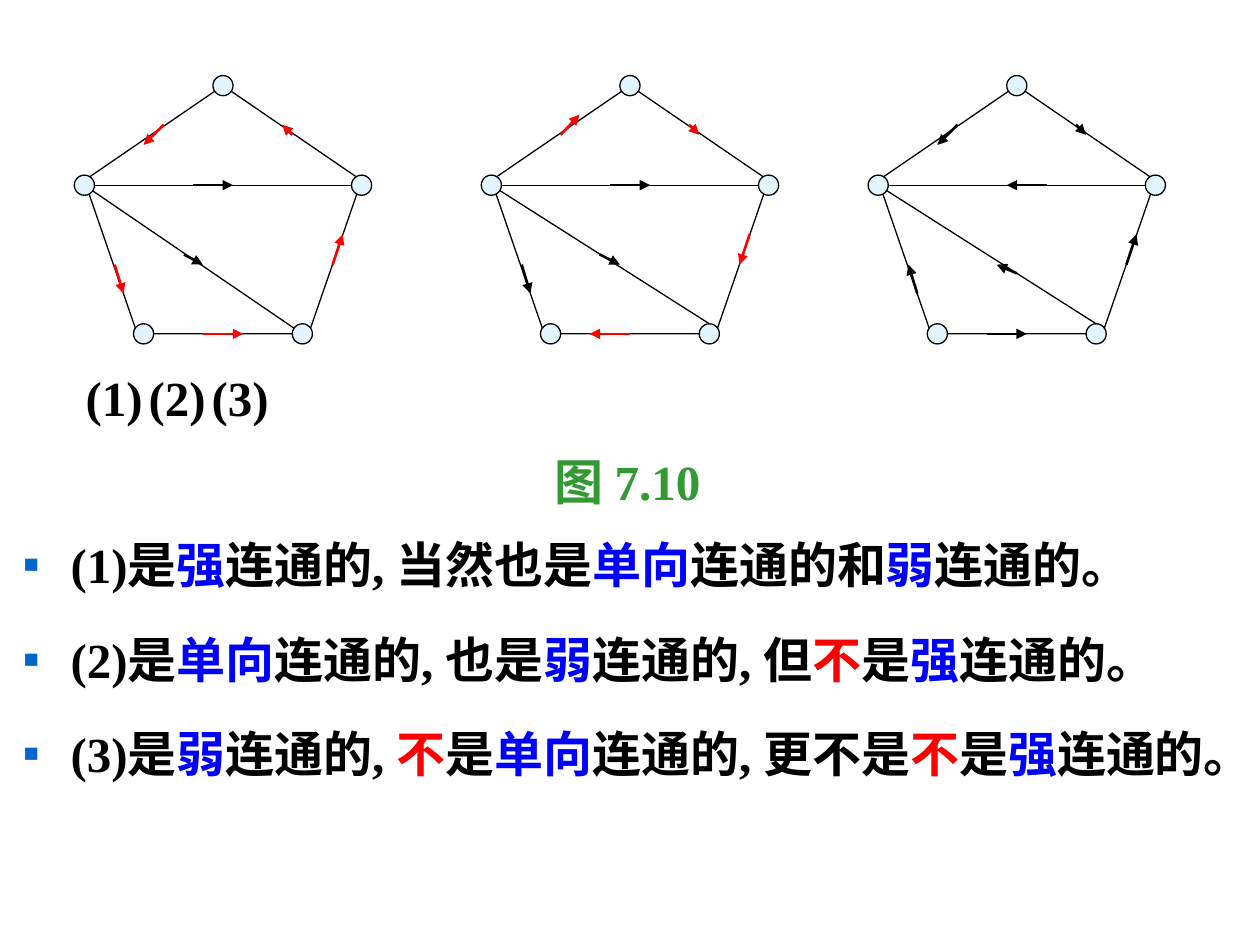
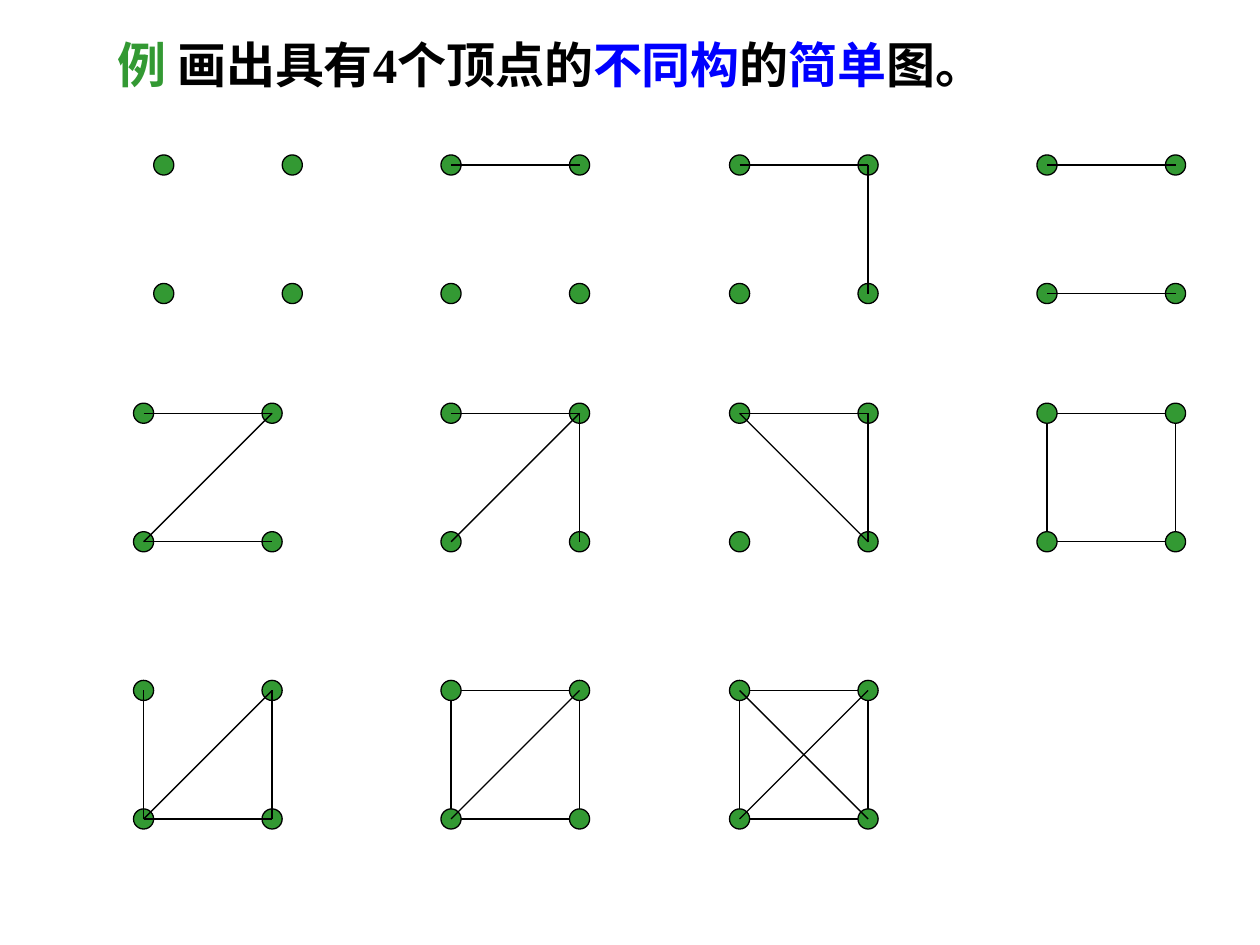
from dataclasses import dataclass

import pptx
import pptx.dml.color
import pptx.enum.shapes
import pptx.enum.text
import pptx.oxml.xmlchemy
import pptx.util
from pptx.util import Inches, Pt

MSO = pptx.enum.shapes.MSO_SHAPE
ALIGN = pptx.enum.text.PP_ALIGN


@dataclass(frozen=True)
class Theme:
    font: str = "Times New Roman"
    size: int = 28
    label_gap_size: int = 32
    space_before: int = 7
    black: str = "000000"
    green: str = "339933"
    blue: str = "0000FF"
    red: str = "FF0000"
    bullet: str = "0066CC"
    pale: str = "E1F4FF"
    edge: float = 0.75
    arrow: float = 1.5
    node: float = 0.16


T = Theme()
K, G, B, R = T.black, T.green, T.blue, T.red


def rgb(value):
    return pptx.dml.color.RGBColor.from_string(value)


def add_xml(parent, tag, **attrs):
    el = pptx.oxml.xmlchemy.OxmlElement(tag)
    for name, value in attrs.items():
        el.set(name, str(value))
    parent.append(el)
    return el


def add_outline(slide, kind, x, y, w, h, fill=None):
    sp = slide.shapes.add_shape(kind, Inches(x), Inches(y), Inches(w), Inches(h))
    sp.shadow.inherit = False
    if fill:
        sp.fill.solid()
        sp.fill.fore_color.rgb = rgb(fill)
    else:
        sp.fill.background()
    sp.line.color.rgb = rgb(K)
    sp.line.width = Pt(T.edge)


def add_node(slide, x, y, fill):
    add_outline(slide, MSO.OVAL, x - T.node / 2, y - T.node / 2, T.node, T.node, fill)


def add_line(slide, x1, y1, x2, y2, color=K, arrow=False):
    cn = slide.shapes.add_connector(pptx.enum.shapes.MSO_CONNECTOR.STRAIGHT,
                                    Inches(x1), Inches(y1), Inches(x2), Inches(y2))
    cn.line.color.rgb = rgb(color)
    cn.line.width = Pt(T.arrow if arrow else T.edge)
    spPr = cn._element.spPr
    if arrow:
        add_xml(spPr.ln, "a:tailEnd", type="triangle")
    add_xml(spPr, "a:effectLst")


def prepare_box(sp, x, y, w, h):
    sp.left, sp.top, sp.width, sp.height = (Inches(v) for v in (x, y, w, h))
    tf = sp.text_frame
    tf.word_wrap = True
    tf.auto_size = pptx.enum.text.MSO_AUTO_SIZE.NONE
    tf.vertical_anchor = pptx.enum.text.MSO_ANCHOR.TOP
    return tf


def write_paragraph(p, runs, spacing=1.0, before=0, align=ALIGN.LEFT, bullet=False, tabs=()):
    pPr = p._p.get_or_add_pPr()
    indent = Inches(0.38) if bullet else 0
    pPr.set("marL", str(indent))
    pPr.set("indent", str(-indent))
    if bullet:
        add_xml(add_xml(pPr, "a:buClr"), "a:srgbClr", val=T.bullet)
        add_xml(pPr, "a:buChar", char="▪")
    else:
        add_xml(pPr, "a:buNone")
    if tabs:
        stops = add_xml(pPr, "a:tabLst")
        for stop in tabs:
            add_xml(stops, "a:tab", pos=Inches(stop), algn="l")
    p.alignment = align
    p.line_spacing = spacing
    p.space_before, p.space_after = Pt(before), Pt(0)
    p.font.name, p.font.size, p.font.bold = T.font, Pt(T.size), True
    for text, color in runs:
        r = p.add_run()
        r.text = text
        r.font.color.rgb = rgb(color)


PENTAGON_W, PENTAGON_H, SHOULDER = 2.2, 1.97, 0.79
VERTICES = [(0.47, PENTAGON_H), (1.73, PENTAGON_H), (0, SHOULDER),
            (PENTAGON_W, SHOULDER), (PENTAGON_W / 2, 0)]

DIGRAPHS = [
    (0.67, 1.97, [
        (0.63, 0.31, 0.47, 0.47, R), (1.65, 0.39, 1.57, 0.31, R),
        (0.86, 0.79, 1.18, 0.79, K), (0.79, 1.34, 0.94, 1.42, K),
        (0.24, 1.42, 0.31, 1.65, R), (0.94, 1.97, 1.26, 1.97, R),
        (1.97, 1.42, 2.05, 1.18, R)]),
    (3.9, 1.89, [
        (0.55, 0.39, 0.7, 0.23, R), (1.57, 0.31, 1.65, 0.39, R),
        (0.94, 0.79, 1.26, 0.79, K), (0.86, 1.34, 1.02, 1.42, K),
        (0.24, 1.42, 0.31, 1.65, K), (1.1, 1.97, 0.78, 1.97, R),
        (2.05, 1.18, 1.97, 1.42, R)]),
    (6.97, 1.89, [
        (0.63, 0.31, 0.47, 0.47, K), (1.57, 0.31, 1.65, 0.39, K),
        (1.34, 0.79, 1.02, 0.79, K), (1.1, 1.49, 0.94, 1.42, K),
        (0.31, 1.65, 0.24, 1.42, K), (0.86, 1.97, 1.18, 1.97, K),
        (1.97, 1.42, 2.05, 1.18, K)]),
]

STATEMENTS = [
    (1.2, [("(1)是", K), ("强", B), ("连通的, 当然也是", K), ("单向", B),
           ("连通的和", K), ("弱", B), ("连通的。", K)]),
    (1.4, [("(2)是", K), ("单向", B), ("连通的, 也是", K), ("弱", B), ("连通的, 但", K),
           ("不", R), ("是", K), ("强", B), ("连通的。", K)]),
    (1.4, [("(3)是", K), ("弱", B), ("连通的, ", K), ("不", R), ("是", K), ("单向", B),
           ("连通的, 更不是", K), ("不", R), ("是", K), ("强", B), ("连通的。", K)]),
]


def draw_digraph(slide, x, y, diagonal_end, arrows):
    add_outline(slide, MSO.REGULAR_PENTAGON, x, y, PENTAGON_W, PENTAGON_H)
    add_line(slide, x, y + SHOULDER, x + PENTAGON_W, y + SHOULDER)
    add_line(slide, x, y + SHOULDER, x + 1.73, y + diagonal_end)
    for x1, y1, x2, y2, color in arrows:
        add_line(slide, x + x1, y + y1, x + x2, y + y2, color, arrow=True)
    for dx, dy in VERTICES:
        add_node(slide, x + dx, y + dy, T.pale)


def write_statements(sp, x, y, w, h):
    tf = prepare_box(sp, x, y, w, h)
    p = tf.paragraphs[0]
    write_paragraph(p, [("\t", K), ("(1)\t(2)\t(3)", K)], tabs=(1.26, 4.53, 7.61))
    p.runs[0].font.size = Pt(T.label_gap_size)
    write_paragraph(tf.add_paragraph(), [("图 7.10", G)], 1.2, T.space_before, ALIGN.CENTER)
    for spacing, runs in STATEMENTS:
        write_paragraph(tf.add_paragraph(), runs, spacing, T.space_before, bullet=True)


def build_connectivity_slide(prs):
    s = prs.slides.add_slide(prs.slide_layouts[1])
    title = s.shapes.title._element
    title.getparent().remove(title)
    write_statements(s.placeholders[1], 0.08, 2.81, 9.8, 4.54)
    for x, diagonal_end, arrows in DIGRAPHS:
        draw_digraph(s, x, 0.68, diagonal_end, arrows)


SIDE = 1.02
CORNERS = {"a": (0, 0), "b": (SIDE, 0), "c": (0, SIDE), "d": (SIDE, SIDE)}
COLUMNS = (1.14, 3.58, 5.87, 8.31)
ROWS = (1.31, 3.28, 5.48)
SIMPLE_GRAPHS = [
    ["", "ab", "ab bd", "ab cd"],
    ["ab cd bc", "ab bc bd", "ab bd ad", "square"],
    ["cd bc bd ac", "square bc", "square bc ad"],
]


def draw_simple_graph(slide, x, y, edges):
    names = edges.split()
    if "square" in names:
        names.remove("square")
        add_outline(slide, MSO.RECTANGLE, x, y, SIDE, SIDE)
    for dx, dy in CORNERS.values():
        add_node(slide, x + dx, y + dy, G)
    for start, end in names:
        (x1, y1), (x2, y2) = CORNERS[start], CORNERS[end]
        add_line(slide, x + x1, y + y1, x + x2, y + y2)


def build_simple_graphs_slide(prs):
    s = prs.slides.add_slide(prs.slide_layouts[5])
    tf = prepare_box(s.shapes.title, 0.83, 0.13, 7.4, 0.71)
    write_paragraph(tf.paragraphs[0], [("例 ", G), ("画出具有4个顶点的", K), ("不同构", B),
                                       ("的", K), ("简单", B), ("图。", K)], 1.2)
    for y, graphs in zip(ROWS, SIMPLE_GRAPHS):
        for x, edges in zip(COLUMNS, graphs):
            draw_simple_graph(s, x if edges else x + T.node, y, edges)


def main():
    prs = pptx.Presentation()
    prs.slide_width, prs.slide_height = Inches(10), Inches(7.5)
    build_connectivity_slide(prs)
    build_simple_graphs_slide(prs)
    prs.save("out.pptx")


if __name__ == "__main__":
    main()
